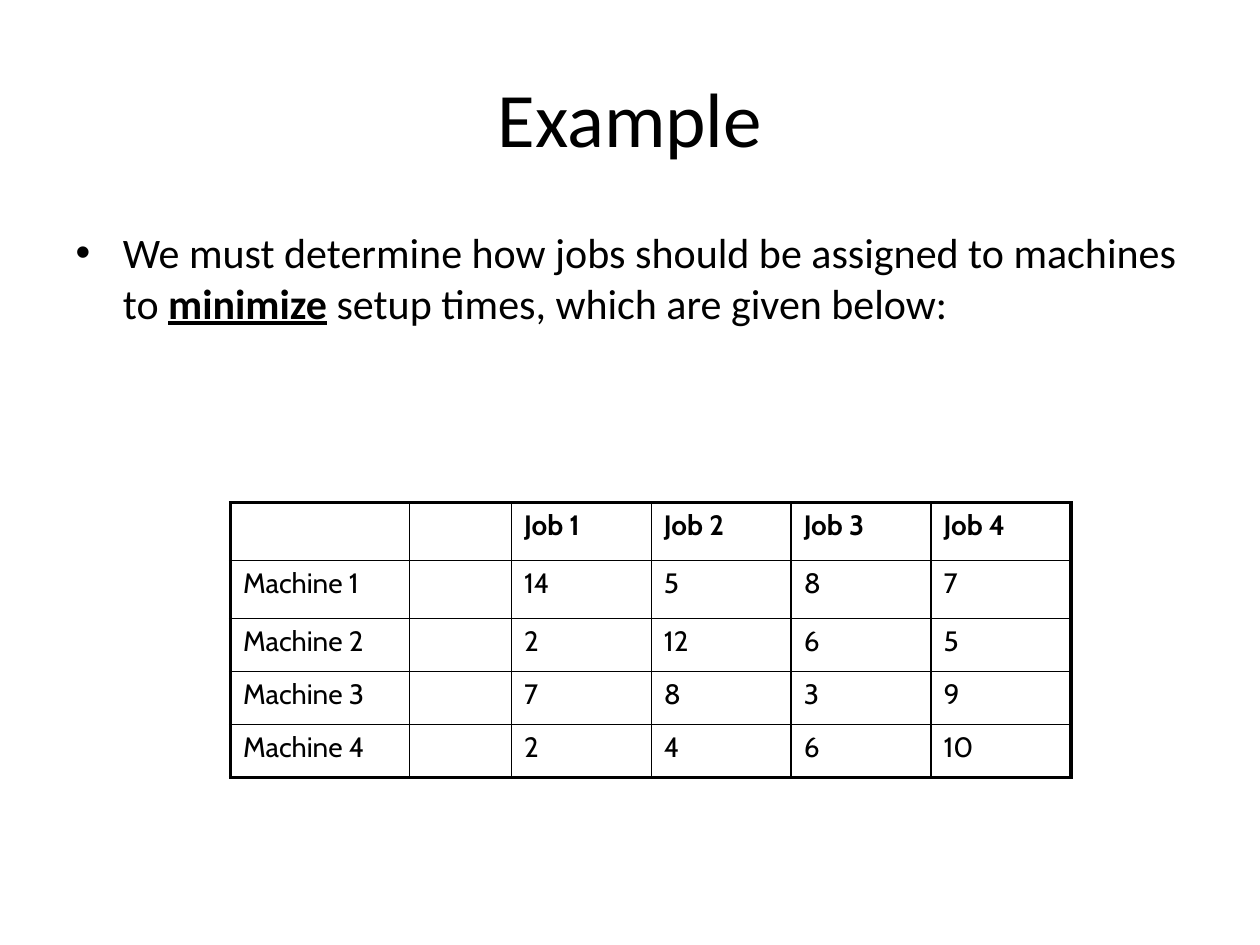
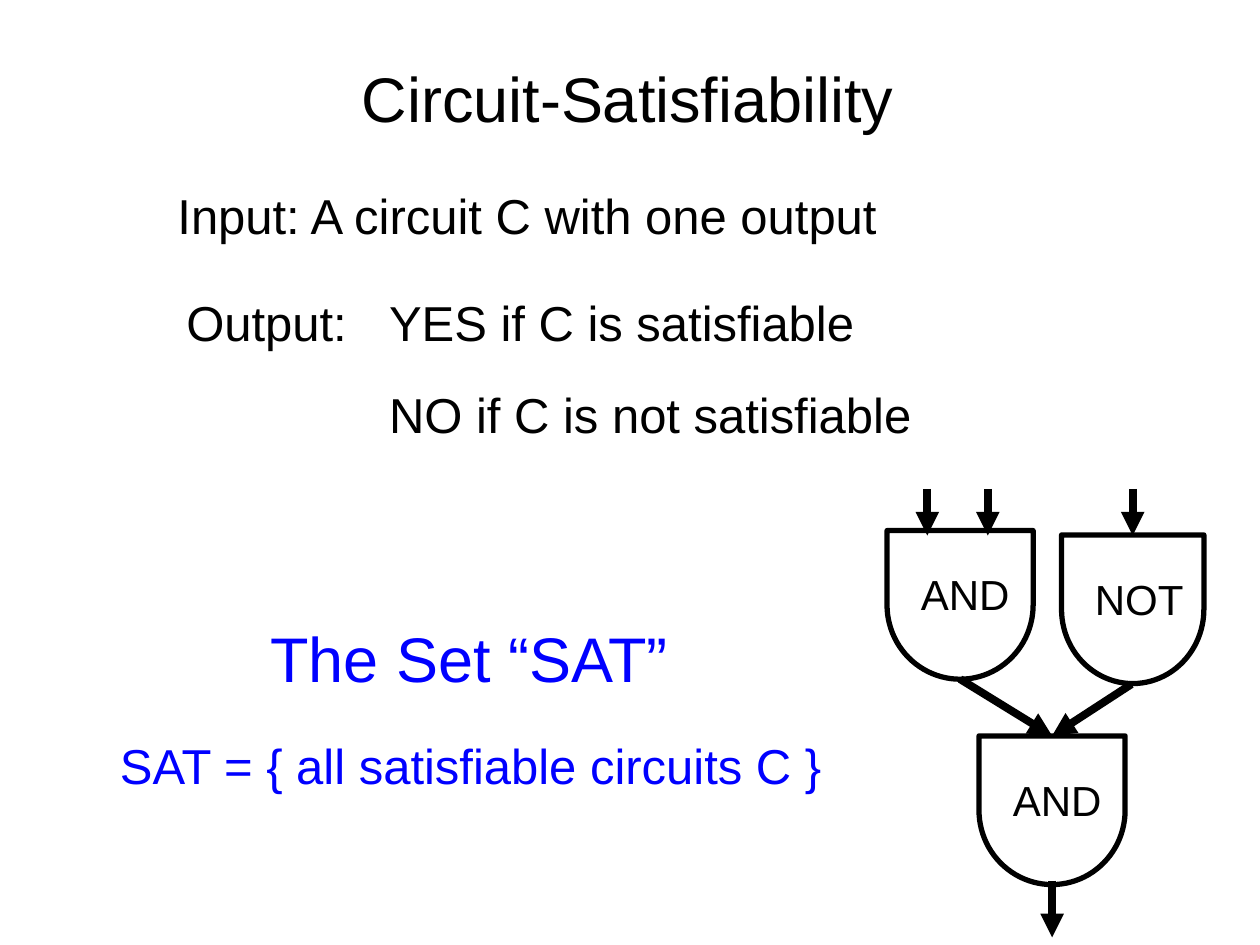
from lxml import etree
from pptx import Presentation
from pptx.dml.color import RGBColor
from pptx.enum.shapes import MSO_CONNECTOR, MSO_SHAPE
from pptx.enum.text import MSO_ANCHOR, MSO_AUTO_SIZE, PP_ALIGN
from pptx.oxml.ns import qn
from pptx.util import Inches, Pt

LEFT, CENTER = PP_ALIGN.LEFT, PP_ALIGN.CENTER
TOP, MIDDLE = MSO_ANCHOR.TOP, MSO_ANCHOR.MIDDLE
NO_FIT = MSO_AUTO_SIZE.NONE
STRAIGHT = MSO_CONNECTOR.STRAIGHT
DELAY = MSO_SHAPE.FLOWCHART_DELAY

COLORS = {"ink": "000000", "accent": "0000FF"}


def write(para, text, font="Arial", size=28, color="ink", bold=False,
          underline=False, align=None):
    """Add one formatted span to a paragraph."""
    span = para.add_run()
    span.text = text
    span.font.name = font
    span.font.size = Pt(size)
    span.font.bold = bold
    span.font.underline = underline
    span.font.color.rgb = RGBColor.from_string(COLORS[color])
    if align is not None:
        para.alignment = align


def place(box, left, top, width, height):
    """Move a placeholder and keep its text at the given size."""
    box.left, box.top = Inches(left), Inches(top)
    box.width, box.height = Inches(width), Inches(height)
    box.text_frame.auto_size = NO_FIT


deck = Presentation()
deck.slide_width, deck.slide_height = Inches(10), Inches(7.5)

# Slide 1: assignment example
page = deck.slides.add_slide(deck.slide_layouts[1])
title, body = page.shapes.title, page.placeholders[1]
place(title, 0.5, 0.3, 9, 1.25)
write(title.text_frame.paragraphs[0], "Example", font="Calibri", size=44,
      align=CENTER)

place(body, 0.5, 1.75, 9, 4.95)
para = body.text_frame.paragraphs[0]
for text, strong in [
    ("We must determine how jobs should be assigned to machines to ", False),
    ("minimize", True),
    (" setup times, which are given below:", False),
]:
    write(para, text, font="Calibri", size=24, bold=strong, underline=strong)

# Setup time table
setup_times = [
    ["", "", "Job 1", "Job 2", "Job 3", "Job 4"],
    ["Machine 1", "", "14", "5", "8", "7"],
    ["Machine 2", "", "2", "12", "6", "5"],
    ["Machine 3", "", "7", "8", "3", "9"],
    ["Machine 4", "", "2", "4", "6", "10"],
]
column_widths = [1.42, 0.81] + [1.11] * 4
row_heights = [0.46] * 2 + [0.42] * 3
last_row, last_column = len(row_heights) - 1, len(column_widths) - 1
table = page.shapes.add_table(
    len(row_heights), len(column_widths), Inches(1.83), Inches(3.99),
    Inches(sum(column_widths)), Inches(sum(row_heights))).table
table.first_row = table.horz_banding = False
for column, width in zip(table.columns, column_widths):
    column.width = Inches(width)
for row, height in zip(table.rows, row_heights):
    row.height = Inches(height)

for r, values in enumerate(setup_times):
    for c, value in enumerate(values):
        cell = table.cell(r, c)
        if value:
            para = cell.text_frame.paragraphs[0]
            para.space_before = Pt(3.2)
            write(para, value, font="Cabin", size=16, bold=r == 0)
        # Heavy outer frame, thin inner rules
        properties = cell._tc.get_or_add_tcPr()
        for side, outer in [("L", c == 0), ("R", c == last_column),
                            ("T", r == 0), ("B", r == last_row)]:
            border = etree.SubElement(properties, qn(f"a:ln{side}"),
                                      w=str(Pt(2.25 if outer else 1)))
            fill = etree.SubElement(border, qn("a:solidFill"))
            etree.SubElement(fill, qn("a:srgbClr"), val=COLORS["ink"])
        cell.fill.background()

# Slide 2: circuit satisfiability
page = deck.slides.add_slide(deck.slide_layouts[5])
title = page.shapes.title
place(title, 2.77, 0.42, 4.47, 0.71)
title.text_frame.word_wrap = False
title.text_frame.vertical_anchor = TOP
write(title.text_frame.paragraphs[0], "Circuit-Satisfiability", size=36,
      align=LEFT)

# Problem statement and the set SAT
for text, left, top, width, height, style in [
    ("Input: A circuit C with one output", 1.31, 1.42, 5.81, 0.57, {}),
    ("Output:", 1.37, 2.27, 1.49, 0.57, {"align": CENTER}),
    ("YES if C is satisfiable", 2.99, 2.27, 3.93, 0.57, {}),
    ("NO if C is not satisfiable", 2.99, 3, 4.39, 0.57, {}),
    ("The Set “SAT”", 1.91, 4.87, 3.63, 0.7,
     {"size": 36, "color": "accent", "align": CENTER}),
    ("SAT = { all satisfiable circuits C }", 0.82, 5.79, 5.83, 0.57,
     {"color": "accent", "align": CENTER}),
]:
    box = page.shapes.add_textbox(Inches(left), Inches(top), Inches(width),
                                  Inches(height))
    box.text_frame.word_wrap = False
    write(box.text_frame.paragraphs[0], text, **style)

# Gates: turned so the flat side is up, with the label kept upright
circuit = page.shapes.add_group_shape()
for label, left, top, height in [("AND", 7.03, 4.22, 1.16),
                                 ("AND", 7.76, 5.85, 1.16),
                                 ("NOT", 8.4, 4.27, 1.13)]:
    gate = circuit.shapes.add_shape(DELAY, Inches(left), Inches(top),
                                    Inches(1.18), Inches(height))
    gate.rotation = 90
    gate._element.spPr.find(qn("a:xfrm")).set("flipV", "1")
    gate.shadow.inherit = False
    gate.fill.background()
    gate.line.color.rgb = RGBColor.from_string(COLORS["ink"])
    gate.line.width = Pt(3)
    frame = gate.text_frame
    frame.margin_left = frame.margin_right = Inches(0.3)
    frame.word_wrap = False
    frame.vertical_anchor = MIDDLE
    frame._txBody.bodyPr.set("vert", "eaVert")
    write(frame.paragraphs[0], label, size=24, align=CENTER)

# Wires: three inputs, two links between gates, one output
wires = [(x, 3.88, x, 4.25) for x in (7.36, 7.84, 8.99)]
wires += [(7.62, 5.39, 8.35, 5.84), (8.98, 5.43, 8.35, 5.84),
          (8.35, 6.99, 8.35, 7.44)]
for ends in wires:
    wire = circuit.shapes.add_connector(STRAIGHT, *map(Inches, ends))
    wire.line.color.rgb = RGBColor.from_string(COLORS["ink"])
    wire.line.width = Pt(4.5)
    etree.SubElement(wire.line._get_or_add_ln(), qn("a:tailEnd"),
                     type="triangle")
    etree.SubElement(wire._element.spPr, qn("a:effectLst"))

deck.save("out.pptx")
